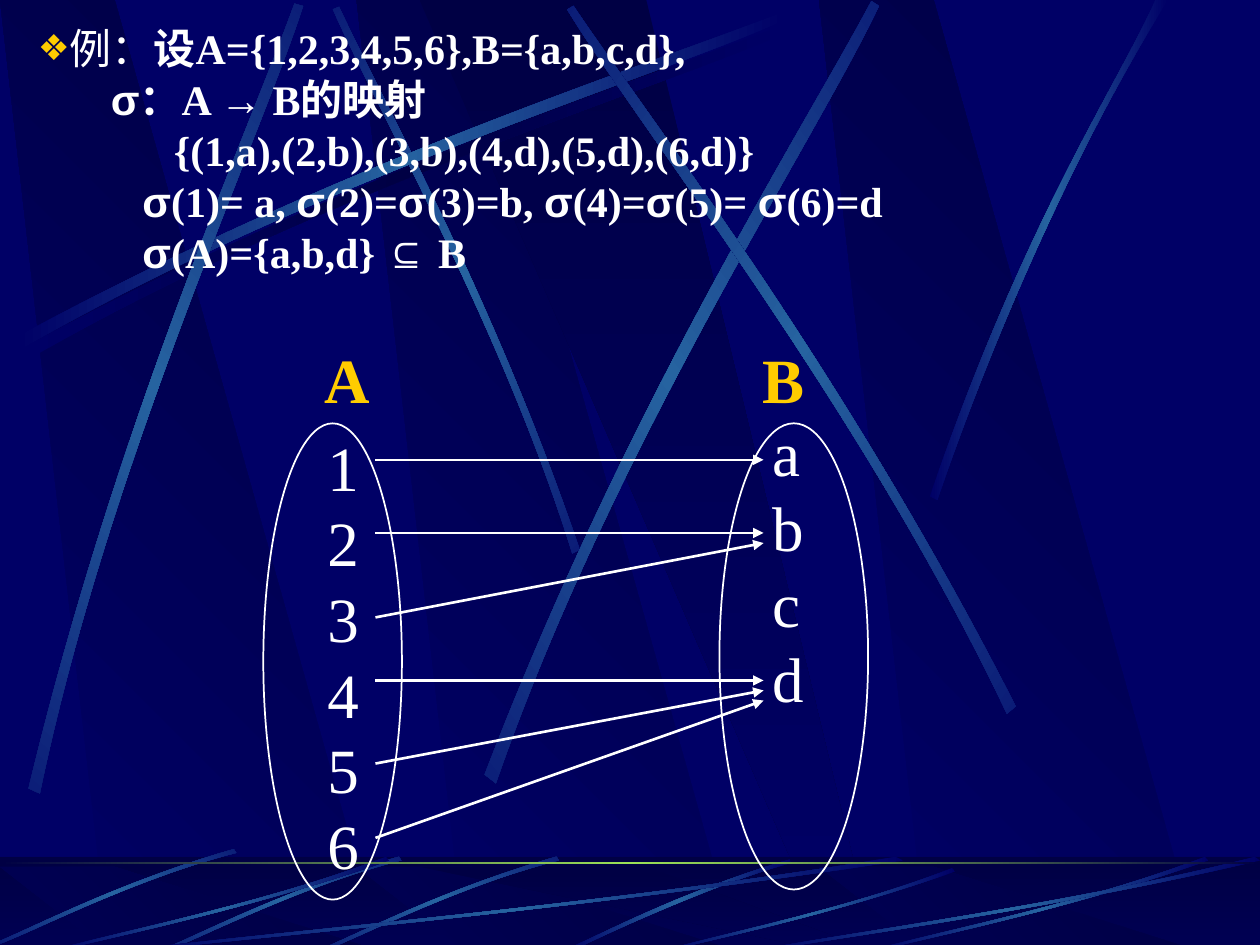
from dataclasses import dataclass
from math import cos, radians, sin
from typing import NamedTuple

from lxml.etree import SubElement
from pptx import Presentation
from pptx.dml.color import RGBColor as Rgb
from pptx.enum.shapes import MSO_CONNECTOR as Connector, MSO_SHAPE as Preset
from pptx.enum.text import MSO_ANCHOR as Anchor, MSO_AUTO_SIZE as AutoSize, PP_ALIGN as Align
from pptx.oxml.ns import qn
from pptx.util import Cm, Pt


@dataclass(frozen=True)
class Theme:
    night: str = "000066"
    shade: str = "000044"
    beam: str = "2663A0"
    horizon: str = "9CE157"
    text: str = "FFFFFF"
    accent: str = "FFCC00"
    serif: str = "Times New Roman"
    sans: str = "Arial"
    body_size: float = 24
    set_size: float = 36
    set_pitch: float = 43.2


class Streak(NamedTuple):
    """A curved sliver: two Bezier edges of four control points each."""
    out: tuple
    back: tuple
    turn: float = 0
    glow: str = "2663A0"


class Line(NamedTuple):
    indent: float
    text: str


class MappedSet(NamedTuple):
    name: str
    name_left: float
    members: str
    members_box: tuple
    oval: tuple


class Arrow(NamedTuple):
    start: float
    end: float


THEME = Theme()
SANS_SYMBOLS = "σ→⊆"
ARROW_LEFT, ARROW_RIGHT = 2.98, 6.06
FLOOR_END = 7.55

STREAKS = (
    Streak(((0.2, 2.75), (2.84, 1.34), (5.24, 0.59), (6.26, 0.18)),
           ((6.29, 0.24), (5.28, 0.69), (2.54, 1.51), (0.23, 2.85)), glow=THEME.shade),
    Streak(((4.6, 4.36), (3.91, 2.34), (3.02, 0.77), (2.69, 0.05)),
           ((2.64, 0.07), (2.95, 0.79), (3.98, 2.58), (4.54, 4.39)), 45),
    Streak(((0.14, 2.67), (2.78, 1.25), (5.18, 0.51), (6.2, 0.1)),
           ((6.23, 0.16), (5.22, 0.61), (2.48, 1.43), (0.17, 2.77))),
    Streak(((0.23, 6.25), (0.93, 3.34), (1.97, 1.05), (2.34, 0.02)),
           ((2.41, 0.04), (2.07, 1.09), (0.86, 3.68), (0.32, 6.29)), 311.7),
    Streak(((3.85, 6.14), (4.98, 3.2), (6.38, 1.02), (6.92, 0)),
           ((6.98, 0.04), (6.49, 1.08), (4.86, 3.55), (3.94, 6.21)), 321.6),
    Streak(((8.06, 5.6), (6.7, 2.93), (5.16, 0.95), (4.55, 0.04)),
           ((4.5, 0.07), (5.07, 1.01), (6.85, 3.25), (7.99, 5.66)), 34.8),
    Streak(((7.38, 3.94), (8.14, 1.73), (8.88, 0.66), (9.17, 0)),
           ((9.27, 0), (8.36, 1.45), (7.69, 3.22), (7.44, 3.97))),
)
FLOOR_STREAKS = (
    Streak(((6.27, 6.82), (5.37, 7.09), (4.77, 7.42), (4.48, 7.54)),
           ((4.53, 7.55), (4.9, 7.37), (5.71, 7), (6.28, 6.85))),
    *(Streak(((x + 1.86, y), (x + 0.99, y + 0.25), (x + 0.31, y + 0.6), (x, y + 0.73)),
             ((x + 0.01, y + 0.75), (x + 0.32, y + 0.63), (x + 1.09, y + 0.23),
              (x + 1.88, y + 0.03)), 314.9)
      for x, y in ((2.56, 6.8), (1.31, 6.8), (0, 6.74))),
)
# left, top and width of the rays that share one outline
FLOOR_RAYS = ((1, 6.8, 6.17), (0.42, 6.8, 2.67), (5.27, 6.89, 2.31), (6.92, 6.8, 2.67), (6, 6.8, 4))
RAY_OUT = ((1, 0.04), (0.57, 0.57), (0.17, 0.85), (0.01, 1))
RAY_BACK = ((0, 0.99), (0.17, 0.81), (0.62, 0.51), (0.99, 0))

LINES = (
    Line(0.24, "设A={1,2,3,4,5,6},B={a,b,c,d},"),
    Line(0.58, "σ：A → B的映射"),
    Line(1.08, "{(1,a),(2,b),(3,b),(4,d),(5,d),(6,d)}"),
    Line(0.83, "σ(1)= a, σ(2)=σ(3)=b, σ(4)=σ(5)= σ(6)=d"),
    Line(0.83, "σ(A)={a,b,d} ⊆ B"),
)
SETS = (
    MappedSet("A", 2.48, "123456", (2.5, 3.35, 0.45, 3.7), (2.09, 3.36, 1.1, 3.78)),
    MappedSet("B", 5.95, "abcd", (6.03, 3.23, 0.45, 2.5), (5.71, 3.36, 1.18, 3.7)),
)
ARROWS = (Arrow(3.65, 3.65), Arrow(4.23, 4.23), Arrow(4.9, 4.31),
          Arrow(5.4, 5.4), Arrow(6.06, 5.48), Arrow(6.65, 5.56))


def inch(value: float) -> Cm:
    return Cm(value * 2.54)


def paint(shape, colours: tuple, angle: float = 0) -> None:
    """Fill without outline: one colour is solid, more are an even gradient."""
    shape.shadow.inherit = False
    shape.line.fill.background()
    if len(colours) == 1:
        shape.fill.solid()
        shape.fill.fore_color.rgb = Rgb.from_string(colours[0])
        return
    shape.fill.gradient()
    shape.fill.gradient_angle = angle
    stops = shape.element.spPr.find(".//" + qn("a:gsLst"))
    stops.clear()
    for i, colour in enumerate(colours):
        stop = SubElement(stops, qn("a:gs"), pos=str(100000 * i // (len(colours) - 1)))
        SubElement(stop, qn("a:srgbClr"), val=colour)


def add_polygon(slide, points: list, colours: tuple, angle: float = 0):
    start, *rest = [(inch(x), inch(y)) for x, y in points]
    builder = slide.shapes.build_freeform(*start, scale=1.0)
    builder.add_line_segments(rest, close=True)
    polygon = builder.convert_to_shape()
    paint(polygon, colours, angle)
    return polygon


def turn_back(points: tuple, degrees: float) -> list:
    """Undo a clockwise turn about the middle of the points."""
    (left, *_, right), (top, *_, bottom) = (sorted(axis) for axis in zip(*points))
    cx, cy = (left + right) / 2, (top + bottom) / 2
    c, s = cos(radians(degrees)), sin(radians(degrees))
    return [(cx + (x - cx) * c + (y - cy) * s, cy - (x - cx) * s + (y - cy) * c)
            for x, y in points]


def add_streak(slide, streak: Streak) -> None:
    sliver = add_polygon(slide, turn_back(streak.out + streak.back, streak.turn),
                         (THEME.night, streak.glow, THEME.night))
    sides = list(sliver.element.iter(qn("a:lnTo")))
    for edge in (sides[:3], sides[4:7]):  # three control points make one curve
        curve = edge[0].getparent()
        bend = SubElement(curve, qn("a:cubicBezTo"))
        edge[0].addprevious(bend)
        for side in edge:
            bend.append(side[0])
            curve.remove(side)
    sliver.rotation = streak.turn


def add_ray(slide, left: float, top: float, width: float) -> None:
    out, back = (tuple((left + x * width, top + y * (FLOOR_END - top)) for x, y in edge)
                 for edge in (RAY_OUT, RAY_BACK))
    add_streak(slide, Streak(out, back))


def add_panels(slide, top: float, bottom: float) -> None:
    for x in (2.83, 0, 6.5):
        add_polygon(slide, [(x + 0.86, bottom), (x + 3.02, bottom), (x + 0.91, top), (x, top)],
                    (THEME.night, THEME.shade), 45)
    add_polygon(slide, [(3.33, top), (6.58, bottom), (6.94, bottom), (5.13, top)],
                (THEME.shade, THEME.night), 270)


def add_band(slide, top: float, height: float, colours: tuple, angle: float = 0):
    band = slide.shapes.add_shape(Preset.RECTANGLE, 0, inch(top), inch(10), inch(height))
    paint(band, colours, angle)
    return band


def add_scenery(slide) -> None:
    add_panels(slide, 0, 7.52)
    for streak in STREAKS:
        add_streak(slide, streak)
    add_band(slide, 6.8, 0.75, (THEME.shade, THEME.night), 270)
    add_panels(slide, 6.88, FLOOR_END)
    veil = add_band(slide, 6.8, 0.75, (THEME.shade,))
    SubElement(veil.element.spPr.find(".//" + qn("a:srgbClr")), qn("a:alpha"), val="50000")
    for streak in FLOOR_STREAKS:
        add_streak(slide, streak)
    for ray in FLOOR_RAYS:
        add_ray(slide, *ray)
    add_band(slide, 6.84, 0.02, (THEME.shade, THEME.horizon, THEME.shade))


def add_run(paragraph, text: str, size: float, bold: bool = False,
            colour: str = THEME.text, face: str = THEME.serif) -> None:
    run = paragraph.add_run()
    run.text = text
    run.font.size, run.font.bold, run.font.name = Pt(size), bold, face
    run.font.color.rgb = Rgb.from_string(colour)


def split_symbols(text: str) -> list:
    """Cut the text into (piece, face) pairs, symbols apart from the rest."""
    for symbol in SANS_SYMBOLS:
        text = text.replace(symbol, f"\n{symbol}\n")
    return [(piece, THEME.sans if piece in SANS_SYMBOLS else THEME.serif)
            for piece in text.split("\n") if piece]


def fill_example(body) -> None:
    body.left, body.top, body.width, body.height = map(inch, (0.2, 0.21, 9.61, 2.2))
    frame = body.text_frame
    frame.auto_size, frame.vertical_anchor = AutoSize.NONE, Anchor.TOP
    for i, line in enumerate(LINES):
        paragraph = frame.add_paragraph() if i else frame.paragraphs[0]
        props = paragraph._p.get_or_add_pPr()
        props.set("marL", str(inch(line.indent)))
        props.set("indent", str(0 if i else -inch(line.indent)))
        if i:
            SubElement(props, qn("a:buNone"))
        else:
            SubElement(SubElement(props, qn("a:buClr")), qn("a:srgbClr"), val=THEME.accent)
            SubElement(props, qn("a:buSzPct"), val="85000")
            SubElement(props, qn("a:buChar"), char="❖")
            add_run(paragraph, "例：", THEME.body_size)
        paragraph.alignment, paragraph.line_spacing = Align.JUSTIFY, 0.8
        paragraph.space_before = Pt(6 if i else 0)
        for piece, face in split_symbols(line.text):
            add_run(paragraph, piece, THEME.body_size, True, face=face)


def add_labels(slide, box: tuple, labels: str, bold: bool, colour: str) -> None:
    frame = slide.shapes.add_textbox(*map(inch, box)).text_frame
    frame.word_wrap = False
    for i, label in enumerate(labels):
        paragraph = frame.add_paragraph() if i else frame.paragraphs[0]
        paragraph.line_spacing = Pt(THEME.set_pitch)
        add_run(paragraph, label, THEME.set_size, bold, colour)


def add_set(slide, group: MappedSet) -> None:
    add_labels(slide, (group.name_left, 2.65, 0.55, 0.7), group.name, True, THEME.accent)
    add_labels(slide, group.members_box, group.members, False, THEME.text)
    oval = slide.shapes.add_shape(Preset.OVAL, *map(inch, group.oval))
    oval.shadow.inherit = False
    oval.fill.background()
    oval.line.color.rgb, oval.line.width = Rgb.from_string(THEME.text), Pt(1)


def add_arrow(slide, arrow: Arrow) -> None:
    link = slide.shapes.add_connector(Connector.STRAIGHT, *map(
        inch, (ARROW_LEFT, arrow.start, ARROW_RIGHT, arrow.end)))
    link.line.color.rgb, link.line.width = Rgb.from_string(THEME.text), Pt(1.5)
    SubElement(link.line._get_or_add_ln(), qn("a:tailEnd"), type="triangle")
    SubElement(link.element.spPr, qn("a:effectLst"))


def main() -> None:
    deck = Presentation()
    deck.slide_width, deck.slide_height = inch(10), inch(7.5)
    slide = deck.slides.add_slide(deck.slide_layouts[1])
    slide.background.fill.solid()
    slide.background.fill.fore_color.rgb = Rgb.from_string(THEME.night)
    title, body = slide.placeholders
    tree = title.element.getparent()
    tree.remove(title.element)
    add_scenery(slide)
    tree.append(body.element)  # the text stands in front of the scenery
    fill_example(body)
    for arrow in ARROWS:
        add_arrow(slide, arrow)
    for group in SETS:
        add_set(slide, group)
    deck.save("out.pptx")


if __name__ == "__main__":
    main()
